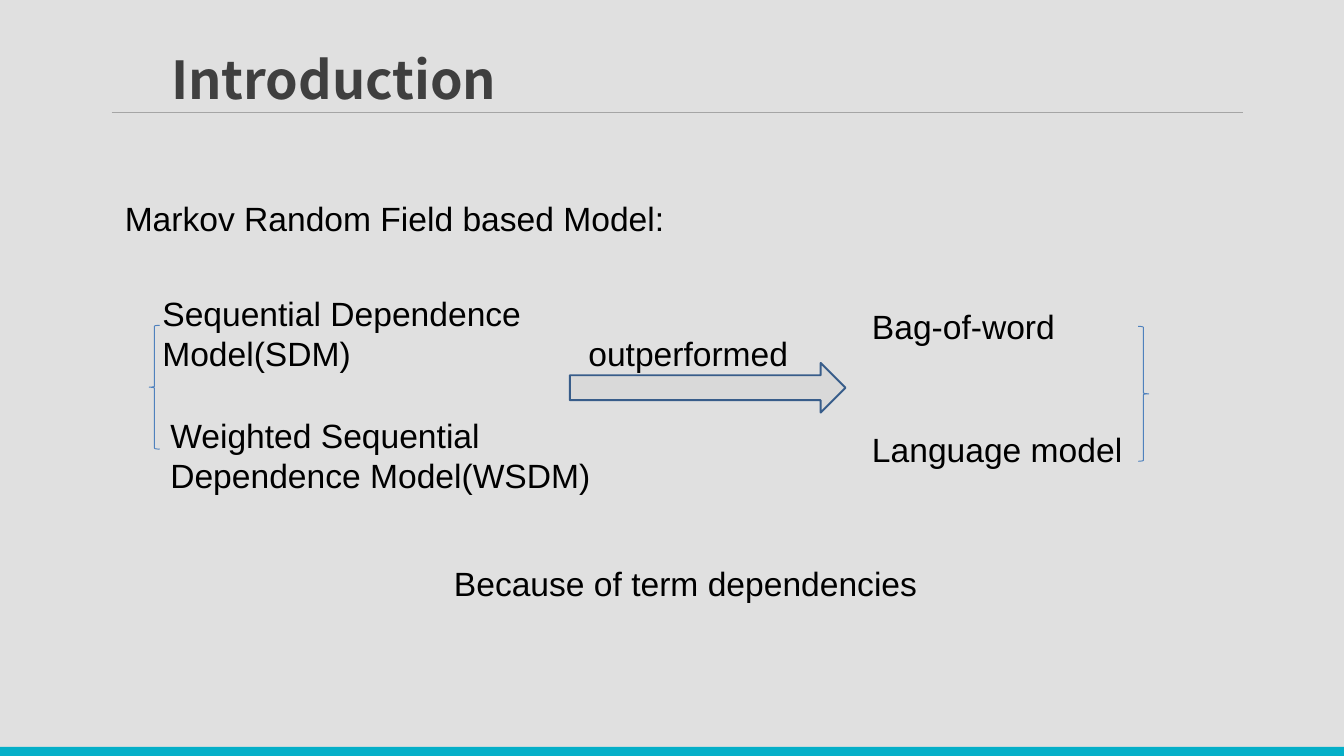
"""Build the introduction slide comparing dependence models with simpler retrieval models."""
from dataclasses import dataclass

from lxml.etree import SubElement
from pptx import Presentation
from pptx.dml.color import RGBColor
from pptx.enum.shapes import MSO_CONNECTOR, MSO_SHAPE
from pptx.enum.text import MSO_ANCHOR, PP_ALIGN
from pptx.oxml.ns import qn
from pptx.util import Cm, Pt


@dataclass(frozen=True)
class Theme:
    heading_font: str = "Noto Sans CJK SC"
    body_font: str = "Arial"
    heading_size: int = 28
    body_size: int = 18
    heading: str = "3F3F3F"
    ink: str = "000000"
    accent: str = "05AFC8"
    rule: str = "A5A5A5"
    arrow_fill: str = "D9D9D9"
    arrow_line: str = "385D8A"
    brace: str = "4F81BD"


theme = Theme()
deck = Presentation()
deck.slide_width, deck.slide_height = Cm(25.4), Cm(14.29)
slide = deck.slides.add_slide(deck.slide_layouts[5])


def add_outline(kind, box, fill=None, line=None, weight=0):
    outline = slide.shapes.add_shape(kind, *map(Cm, box))
    outline.shadow.inherit = False
    if fill:
        outline.fill.solid()
        outline.fill.fore_color.rgb = RGBColor.from_string(fill)
    else:
        outline.fill.background()
    if line:
        outline.line.color.rgb = RGBColor.from_string(line)
        outline.line.width = Pt(weight)
    else:
        outline.line.fill.background()
    return outline


def write(paragraph, words, font, size, color, bold=False):
    run = paragraph.add_run()
    run.text = words
    run.font.name = font
    run.font.size = Pt(size)
    run.font.bold = bold
    run.font.color.rgb = RGBColor.from_string(color)
    return run


backdrop = add_outline(MSO_SHAPE.RECTANGLE, (0, 0, 25.4, 14.12), theme.ink)
tint = backdrop.fill._xPr.find(qn("a:solidFill"))[0]
SubElement(tint, qn("a:alpha"), val="12000")
add_outline(MSO_SHAPE.RECTANGLE, (0, 14.12, 25.4, 0.17), theme.accent)

heading_rule = slide.shapes.add_connector(
    MSO_CONNECTOR.STRAIGHT, Cm(2.11), Cm(2.13), Cm(23.5), Cm(2.13))
heading_rule.line.color.rgb = RGBColor.from_string(theme.rule)
heading_rule.line.width = Pt(0.75)
SubElement(heading_rule._element.spPr, qn("a:effectLst"))

heading = slide.shapes.title
heading.left, heading.top, heading.width, heading.height = map(Cm, (2.51, 0.77, 7.59, 1.45))
heading_frame = heading.text_frame
heading_frame.margin_top = heading_frame.margin_bottom = 0
heading_frame.vertical_anchor = MSO_ANCHOR.MIDDLE
heading_frame.paragraphs[0].alignment = PP_ALIGN.CENTER
heading_run = write(heading_frame.paragraphs[0], "Introduction", theme.heading_font,
                    theme.heading_size, theme.heading, bold=True)
SubElement(heading_run.font._element, qn("a:ea"), typeface=theme.heading_font)
slide.shapes._spTree.append(heading._element)

add_outline(MSO_SHAPE.RIGHT_ARROW, (10.77, 6.86, 5.21, 0.94),
            theme.arrow_fill, theme.arrow_line, 1)
for brace_kind, brace_box in (
    (MSO_SHAPE.LEFT_BRACE, (2.82, 6.15, 0.2, 2.34)),
    (MSO_SHAPE.RIGHT_BRACE, (21.51, 6.17, 0.2, 2.55)),
):
    add_outline(brace_kind, brace_box, line=theme.brace, weight=0.5)

statements = (
    ("Markov Random Field based Model:", 2.11, 3.61, 11.53, 1.02),
    ("Sequential Dependence Model(SDM)", 2.82, 5.41, 9.17, 1.78),
    ("Weighted Sequential Dependence Model(WSDM)", 2.97, 7.72, 8.66, 1.78),
    ("outperformed", 10.87, 6.17, 4.42, 1.02),
    ("Bag-of-word", 16.23, 5.66, 9.17, 1.02),
    ("Language model", 16.23, 7.98, 9.17, 1.02),
    ("Because of term dependencies", 8.33, 10.52, 10.59, 1.02),
)
for words, *box in statements:
    statement = slide.shapes.add_textbox(*map(Cm, box))
    statement.text_frame.word_wrap = True
    write(statement.text_frame.paragraphs[0], words, theme.body_font,
          theme.body_size, theme.ink)

deck.save("out.pptx")
